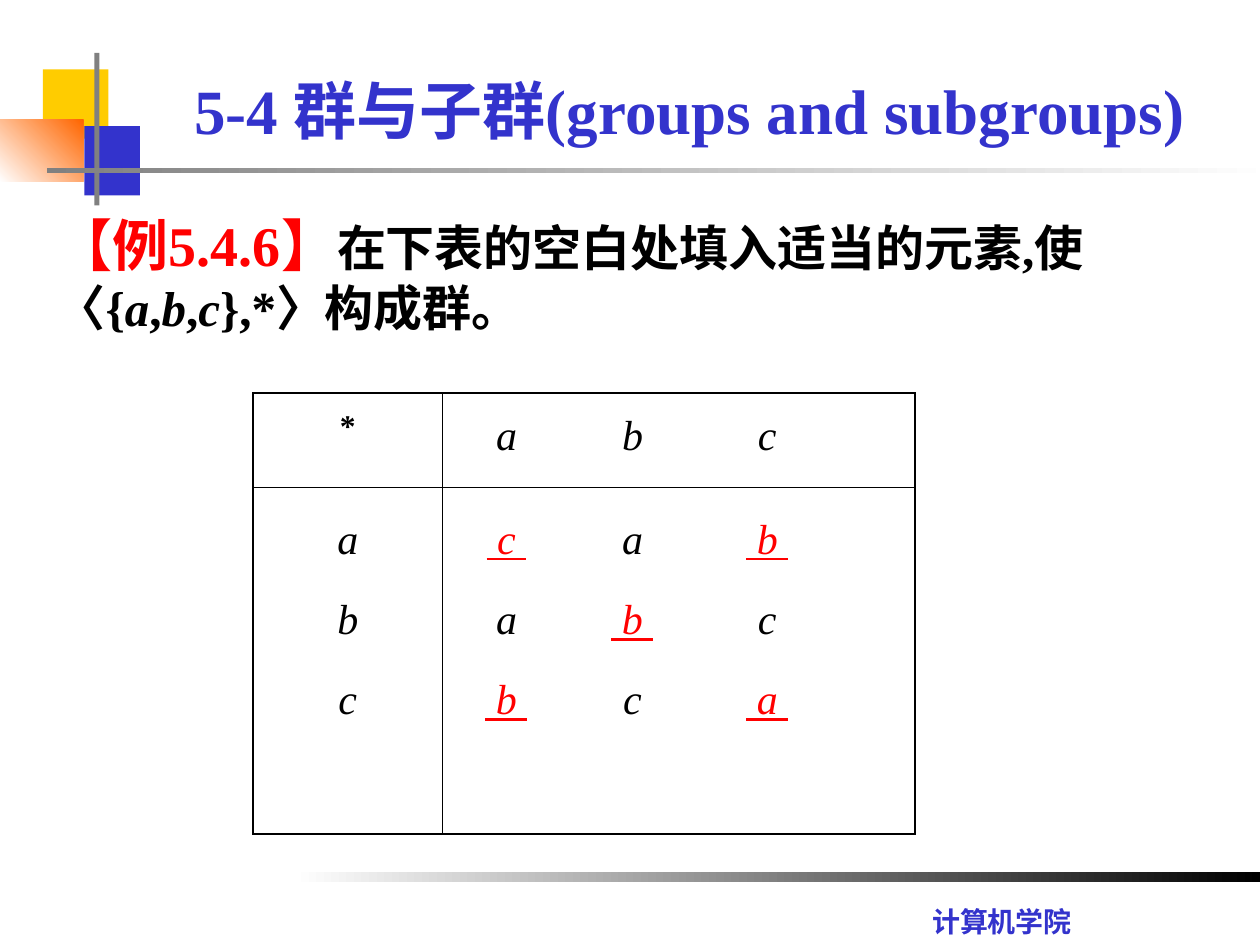
from dataclasses import dataclass
from typing import Optional

from lxml.etree import SubElement
from pptx import Presentation
from pptx.dml.color import RGBColor
from pptx.enum.shapes import MSO_SHAPE
from pptx.enum.text import MSO_ANCHOR, MSO_AUTO_SIZE, PP_ALIGN
from pptx.oxml.ns import qn
from pptx.util import Inches, Pt

SERIF = "Times New Roman"
BLUE, RED, BLACK, GREY, WHITE = "3333CC", "FF0000", "000000", "808080", "FFFFFF"
OUTER, INNER = 1.08, 0.45  # table border widths in points
COLUMN_CENTRES = (0.41, 1.41, 2.48)  # tab stops inside the wide table column


@dataclass
class Bar:
    left: float
    top: float
    width: float
    height: float
    color: str
    end_color: Optional[str] = None
    angle: float = 0


@dataclass
class Piece:
    text: str
    size: float
    color: str = BLACK
    bold: bool = False
    italic: bool = False
    underline: bool = False
    name: str = SERIF


BARS = [
    Bar(0.34, 0.55, 0.52, 0.55, "FFCC00"),
    Bar(0.67, 1, 0.44, 0.55, BLUE),
    Bar(0, 0.95, 0.66, 0.49, WHITE, "FF6600", 45),
    Bar(0.75, 0.42, 0.04, 1.21, GREY),
    Bar(0.37, 1.33, 9.75, 0.04, GREY, WHITE),
    Bar(2.33, 6.92, 7.67, 0.08, WHITE, BLACK),
]

ELEMENTS = "abc"
PRODUCTS = ["cab", "abc", "bca"]
PRODUCTS[0], PRODUCTS[2] = "cab", "bca"
BLANKS = {(0, 0), (0, 2), (1, 1), (2, 0), (2, 2)}


def rgb(color: str) -> RGBColor:
    return RGBColor.from_string(color)


def add_bar(shapes, bar: Bar) -> None:
    box = map(Inches, (bar.left, bar.top, bar.width, bar.height))
    shape = shapes.add_shape(MSO_SHAPE.RECTANGLE, *box)
    shape.shadow.inherit = False
    shape.line.fill.background()
    if bar.end_color is None:
        shape.fill.solid()
        shape.fill.fore_color.rgb = rgb(bar.color)
        return
    shape.fill.gradient()
    shape.fill.gradient_angle = bar.angle
    for stop, color in zip(shape.fill.gradient_stops, (bar.color, bar.end_color)):
        stop.color.rgb = rgb(color)


def add_pieces(paragraph, pieces: list[Piece]) -> None:
    for piece in pieces:
        run = paragraph.add_run()
        run.text = piece.text
        run.font.size = Pt(piece.size)
        run.font.color.rgb = rgb(piece.color)
        for attribute in ("bold", "italic", "underline", "name"):
            setattr(run.font, attribute, getattr(piece, attribute))


def fill_placeholder(shape, box, pieces: list[Piece], frame_format: dict, align) -> None:
    for side, value in zip(("left", "top", "width", "height"), box):
        setattr(shape, side, Inches(value))
    frame = shape.text_frame
    for attribute, value in frame_format.items():
        setattr(frame, attribute, value)
    paragraph = frame.paragraphs[0]
    properties = paragraph._p.get_or_add_pPr()
    properties.set("marL", "0")
    properties.set("indent", "0")
    SubElement(properties, qn("a:buNone"))
    paragraph.alignment = align
    paragraph.space_before = Pt(0)
    add_pieces(paragraph, pieces)


def add_tab_stops(paragraph) -> None:
    tabs = SubElement(paragraph._p.get_or_add_pPr(), qn("a:tabLst"))
    for centre in COLUMN_CENTRES:
        SubElement(tabs, qn("a:tab"), pos=str(Inches(centre)), algn="ctr")


def set_borders(cell, row: int, column: int) -> None:
    widths = {
        "L": INNER if column else OUTER,
        "R": OUTER if column else INNER,
        "T": INNER if row else OUTER,
        "B": OUTER if row else INNER,
    }
    properties = cell._tc.get_or_add_tcPr()
    for side, width in widths.items():
        line = SubElement(properties, qn(f"a:ln{side}"), w=str(Pt(width)))
        fill = SubElement(line, qn("a:solidFill"))
        SubElement(fill, qn("a:srgbClr"), val=BLACK)
    cell.fill.background()


def fill_cell(cell, lines: list[list[Piece]], spacing: float, tabbed: bool) -> None:
    frame = cell.text_frame
    for index, pieces in enumerate(lines):
        paragraph = frame.add_paragraph() if index else frame.paragraphs[0]
        if tabbed:
            add_tab_stops(paragraph)
        paragraph.alignment = PP_ALIGN.LEFT if tabbed else PP_ALIGN.CENTER
        paragraph.line_spacing = spacing
        paragraph.space_before = Pt(6 if index else 0)
        add_pieces(paragraph, pieces)


def letter(text: str, blank: bool = False) -> Piece:
    if blank:
        return Piece(f" {text} ", 24, RED, italic=True, underline=True)
    return Piece(text, 24, italic=True)


def tabbed_line(letters: str, row: Optional[int] = None) -> list[Piece]:
    pieces = []
    for column, text in enumerate(letters):
        pieces += [letter("\t"), letter(text, (row, column) in BLANKS)]
    return pieces


def add_operation_table(shapes) -> None:
    frame = shapes.add_table(2, 2, Inches(2.01), Inches(3.12), Inches(5.25), Inches(3.5))
    table = frame.table
    table.first_row = table.horz_banding = False
    for column, width in zip(table.columns, (1.5, 3.75)):
        column.width = Inches(width)
    for row, height in zip(table.rows, (0.75, 2.75)):
        row.height = Inches(height)
    contents = [
        [[[Piece("*", 18, bold=True)]], [tabbed_line(ELEMENTS)]],
        [
            [[letter(element)] for element in ELEMENTS],
            [tabbed_line(products, row) for row, products in enumerate(PRODUCTS)],
        ],
    ]
    for row, cells in enumerate(contents):
        for column, lines in enumerate(cells):
            cell = table.cell(row, column)
            set_borders(cell, row, column)
            fill_cell(cell, lines, 1.5 if row else 1.3, column == 1)


def add_footer(shapes) -> None:
    box = shapes.add_textbox(Inches(7.3), Inches(7.13), Inches(1.36), Inches(0.37))
    box.text_frame.word_wrap = False
    add_pieces(box.text_frame.paragraphs[0],
               [Piece("计算机学院", 16, BLUE, bold=True, name="Cabin")])


def main() -> None:
    presentation = Presentation()
    presentation.slide_width, presentation.slide_height = Inches(10), Inches(7.5)
    slide = presentation.slides.add_slide(presentation.slide_layouts[1])
    shapes = slide.shapes
    for bar in BARS:
        add_bar(shapes, bar)
    add_footer(shapes)

    frame_format = {"word_wrap": True, "auto_size": MSO_AUTO_SIZE.NONE}
    title = [Piece("5-4 群与子群(groups and subgroups)", 36, BLUE, bold=True)]
    fill_placeholder(shapes.title, (1.22, 0.52, 8.5, 0.7), title,
                     frame_format | {"vertical_anchor": MSO_ANCHOR.MIDDLE},
                     PP_ALIGN.CENTER)
    exercise = [Piece("【例5.4.6】", 32, RED, bold=True)]
    for text in ("在下表的空白处填入适当的元素,使〈{", "a", ",", "b", ",", "c", "},*〉构成群。"):
        exercise.append(Piece(text, 28, bold=True, italic=text in ELEMENTS))
    fill_placeholder(slide.placeholders[1], (0.35, 1.62, 9.17, 1.1), exercise,
                     frame_format | {"vertical_anchor": MSO_ANCHOR.TOP},
                     PP_ALIGN.LEFT)
    add_operation_table(shapes)
    presentation.save("out.pptx")


if __name__ == "__main__":
    main()
